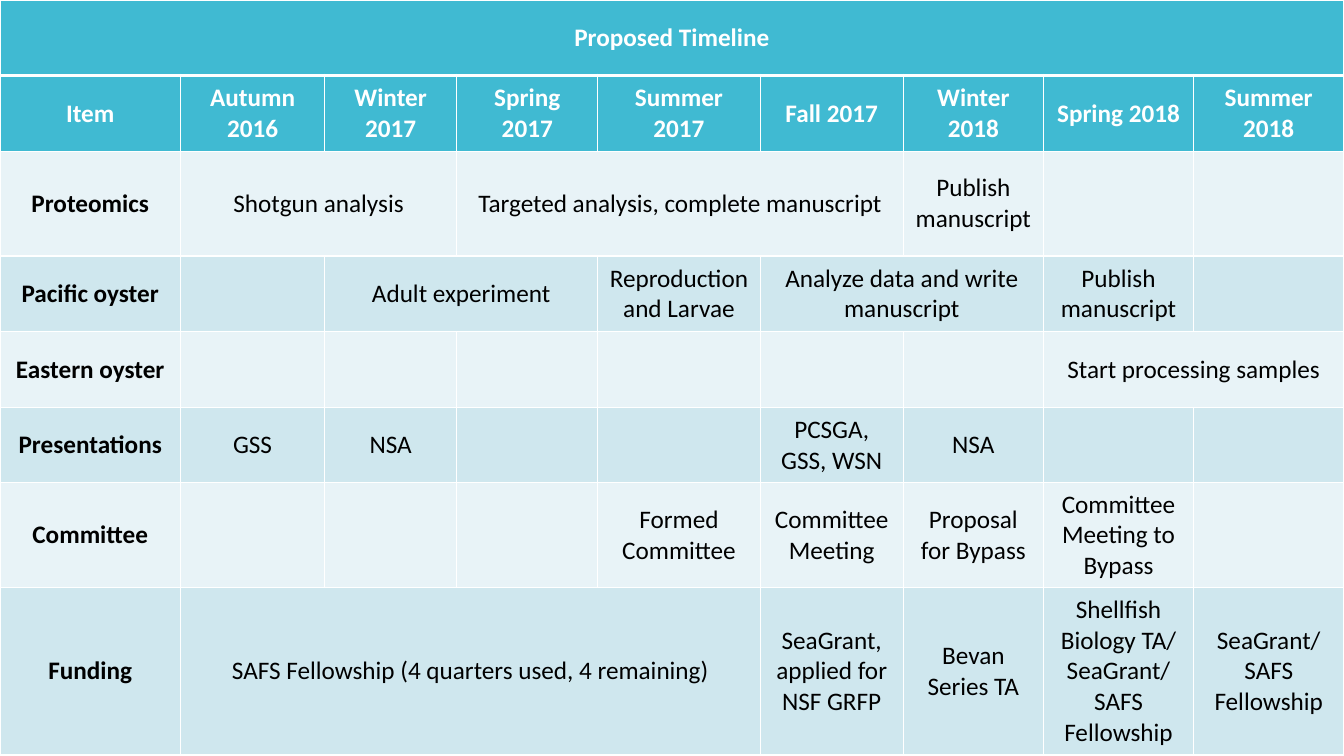
from lxml import etree
from pptx import Presentation, util as u
from pptx.dml.color import RGBColor
from pptx.enum import text
from pptx.oxml import ns

WHITE = RGBColor(0xFF, 0xFF, 0xFF)
BLACK = RGBColor(0, 0, 0)
TEAL = RGBColor(0x40, 0xBA, 0xD2)
PALE = RGBColor(0xE8, 0xF3, 0xF7)
LIGHT_BLUE = RGBColor(0xCF, 0xE7, 0xEE)

COLUMN_WIDTHS = [1.79, 1.43, 1.31, 1.4, 1.61, 1.42, 1.39, 1.49, 1.49]
ROW_HEIGHTS = [0.75, 0.75, 1.04, 0.75, 0.75, 0.75, 1.04, 1.66]
HEADER_ROWS = 2

QUARTERS = ["Item", "Autumn 2016", "Winter 2017", "Spring 2017", "Summer 2017",
            "Fall 2017", "Winter 2018", "Spring 2018", "Summer 2018"]
TIMELINE = [
    {0: ("Proposed Timeline", 9)},
    {column: (quarter, 1) for column, quarter in enumerate(QUARTERS)},
    {0: ("Proteomics", 1), 1: ("Shotgun analysis", 2),
     3: ("Targeted analysis, complete manuscript", 3), 6: ("Publish manuscript", 1)},
    {0: ("Pacific oyster", 1), 2: ("Adult experiment", 2),
     4: ("Reproduction and Larvae", 1),
     5: ("Analyze data and write manuscript", 2), 7: ("Publish manuscript", 1)},
    {0: ("Eastern oyster", 1), 7: ("Start processing samples", 2)},
    {0: ("Presentations", 1), 1: ("GSS", 1), 2: ("NSA", 1),
     5: ("PCSGA, GSS, WSN", 1), 6: ("NSA", 1)},
    {0: ("Committee", 1), 4: ("Formed Committee", 1), 5: ("Committee Meeting", 1),
     6: ("Proposal for Bypass", 1), 7: ("Committee Meeting to Bypass", 1)},
    {0: ("Funding", 1), 1: ("SAFS Fellowship (4 quarters used, 4 remaining)", 4),
     5: ("SeaGrant, applied for NSF GRFP", 1), 6: ("Bevan Series TA", 1),
     7: ("Shellfish Biology TA/ SeaGrant/ SAFS Fellowship", 1),
     8: ("SeaGrant/ SAFS Fellowship", 1)},
]


class TimelineSlide:
    """Holds the slide and the style of its timeline table."""

    font_name = "Calibri"
    font_size = u.Pt(18)

    def __init__(self, slide):
        self.slide = slide

    def add_table(self, rows):
        shape = self.slide.shapes.add_table(
            len(rows), len(COLUMN_WIDTHS), 0, 0,
            u.Inches(sum(COLUMN_WIDTHS)), u.Inches(sum(ROW_HEIGHTS)))
        table = shape.table
        for column, width in zip(table.columns, COLUMN_WIDTHS):
            column.width = u.Inches(width)
        for row, height in zip(table.rows, ROW_HEIGHTS):
            row.height = u.Inches(height)
        for row_index, entries in enumerate(rows):
            for column_index in range(len(COLUMN_WIDTHS)):
                self.style_cell(table.cell(row_index, column_index), row_index)
            for column_index, (words, span) in entries.items():
                cell = table.cell(row_index, column_index)
                if span > 1:
                    cell.merge(table.cell(row_index, column_index + span - 1))
                self.set_text(cell, words, row_index, column_index)

    def style_cell(self, cell, row_index):
        for side in ("L", "R", "T", "B"):
            thick = (row_index, side) in ((0, "B"), (1, "T"))
            self.add_border(cell, side, u.Pt(3 if thick else 1))
        cell.fill.solid()
        if row_index < HEADER_ROWS:
            cell.fill.fore_color.rgb = TEAL
        else:
            cell.fill.fore_color.rgb = LIGHT_BLUE if row_index % 2 else PALE
        cell.vertical_anchor = text.MSO_ANCHOR.MIDDLE
        cell.text_frame.paragraphs[0].font.size = self.font_size

    def add_border(self, cell, side, width):
        properties = cell._tc.get_or_add_tcPr()
        line = etree.SubElement(properties, ns.qn("a:ln" + side), w=str(width))
        fill = etree.SubElement(line, ns.qn("a:solidFill"))
        etree.SubElement(fill, ns.qn("a:srgbClr"), val=str(WHITE))

    def set_text(self, cell, words, row_index, column_index):
        is_header = row_index < HEADER_ROWS
        paragraph = cell.text_frame.paragraphs[0]
        paragraph.text = words
        paragraph.alignment = text.PP_ALIGN.CENTER
        paragraph.font.name = self.font_name
        paragraph.font.size = self.font_size
        paragraph.font.bold = is_header or column_index == 0
        paragraph.font.color.rgb = WHITE if is_header else BLACK


def main():
    presentation = Presentation()
    presentation.slide_width = u.Inches(13.33)
    presentation.slide_height = u.Inches(7.5)
    slide = presentation.slides.add_slide(presentation.slide_layouts[6])
    TimelineSlide(slide).add_table(TIMELINE)
    presentation.save("out.pptx")


if __name__ == "__main__":
    main()
